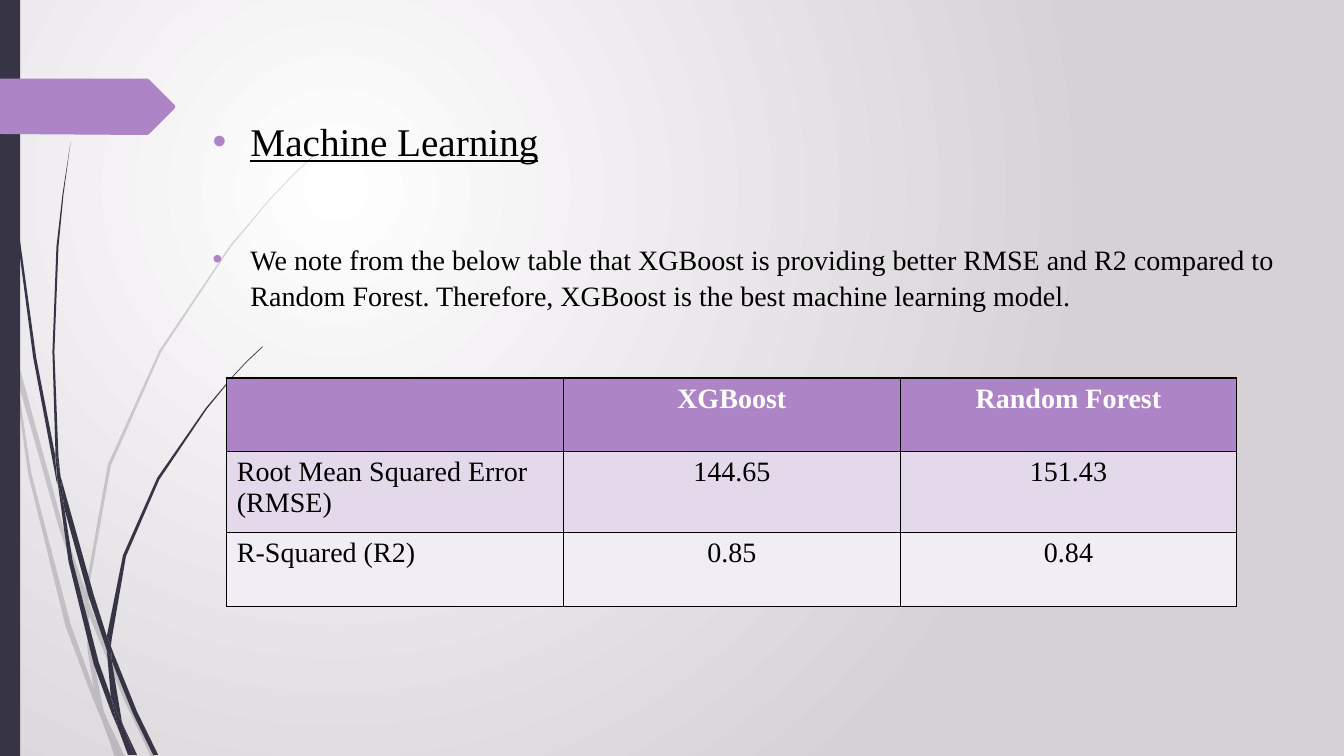
from lxml import etree
from pptx import Presentation
from pptx import util as u
from pptx.dml.color import RGBColor
from pptx.enum import shapes, text
from pptx.oxml.ns import qn

DARK, PURPLE, BLACK, WHITE = "373545", "AD84C6", "000000", "FFFFFF"
FONT = "Times New Roman"


def paint(sp, color):
    sp.shadow.inherit = False
    sp.fill.solid()
    sp.fill.fore_color.rgb = RGBColor.from_string(color)
    sp.line.fill.background()


def add_run(p, words, size, color, bold=False, underline=False):
    r = p.add_run()
    r.text = words
    f = r.font
    f.name, f.size, f.bold, f.underline = FONT, u.Pt(size), bold, underline
    f.color.rgb = RGBColor.from_string(color)


prs = Presentation()
prs.slide_width, prs.slide_height = u.Pt(960), u.Pt(540)
s = prs.slides.add_slide(prs.slide_layouts[1])
title, body = s.placeholders
title.element.getparent().remove(title.element)

# Background: circular gradient centred in the upper left
fill = s.background.fill
fill.gradient()
for stop, position, color in zip(fill.gradient_stops, (0, 1), (WHITE, "D6D1D6")):
    stop.position = position
    stop.color.rgb = RGBColor.from_string(color)
lin = next(s.element.iter(qn("a:lin")))
circle = etree.Element(qn("a:path"), path="circle")
etree.SubElement(circle, qn("a:fillToRect"), l="50000", t="50000", r="100000", b="100000")
lin.getparent().replace(lin, circle)

# Wisps of grass: outlines in steps of 0.72 pt
pale_wisps = [
    [(11, 350), (9, 322), (0, 282), (0, 299), (10, 344)],
    [(58, 522), (84, 599), (85, 586), (62, 520), (14, 345), (17, 376)],
    [(92, 607), (88, 596), (88, 610), (123, 694), (150, 751), (155, 751), (127, 692)],
    [(119, 751), (124, 751), (105, 711)],
    [(93, 683), (70, 619), (31, 469), (17, 376), (11, 350), (28, 470), (65, 621),
     (92, 693), (101, 714), (99, 707)],
    [(84, 599), (87, 646), (93, 683), (96, 692), (105, 711), (103, 706), (91, 646),
     (88, 610), (88, 608)],
    [(88, 584), (110, 462), (160, 349), (229, 245), (268, 198), (290, 175), (312, 154),
     (312, 153), (289, 175), (268, 197), (228, 244), (158, 348), (107, 461), (85, 584),
     (85, 586), (88, 596)],
    [(101, 714), (114, 751), (119, 751)],
    [(88, 608), (88, 610), (88, 596), (85, 586), (84, 599)],
    [(96, 692), (93, 683), (99, 707), (101, 714), (119, 751), (105, 711)],
]
dark_wisps = [
    [(7, 110), (17, 233), (33, 355), (56, 477), (57, 481), (55, 457), (55, 453),
     (36, 355), (19, 232), (8, 109), (5, 48), (4, 0), (3, 0), (4, 48)],
    [(88, 592), (106, 645), (106, 633), (106, 631), (93, 590), (60, 472), (64, 505)],
    [(113, 649), (110, 641), (111, 656), (132, 708), (152, 749), (157, 749), (136, 706)],
    [(110, 691), (98, 657), (72, 556), (64, 505), (57, 477), (68, 557), (93, 659),
     (111, 708), (117, 722), (116, 717)],
    [(60, 472), (58, 453), (54, 349), (58, 245), (63, 193), (70, 141), (62, 193),
     (56, 245), (52, 349), (55, 449)],
    [(133, 749), (136, 749), (122, 719)],
    [(57, 477), (64, 505), (60, 472), (55, 449), (55, 453)],
    [(111, 633), (125, 552), (158, 476), (205, 406), (231, 374), (245, 359), (261, 344),
     (260, 344), (245, 358), (231, 373), (204, 405), (156, 474), (122, 551), (106, 631),
     (110, 641)],
    [(117, 722), (127, 749), (131, 749)],
    [(106, 645), (110, 691), (116, 706), (122, 719), (121, 716), (111, 656), (109, 651)],
    [(106, 645), (109, 651), (111, 656), (110, 641), (106, 631), (106, 633)],
    [(116, 706), (110, 691), (116, 717), (117, 722), (130, 749), (133, 749), (122, 719)],
]
for wisps, alpha in ((pale_wisps, "20000"), (dark_wisps, "100000")):
    for outline in wisps:
        fb = s.shapes.build_freeform(*outline[0], scale=u.Pt(0.72))
        fb.add_line_segments(outline[1:])
        sp = fb.convert_to_shape()
        paint(sp, DARK)
        rgb = next(sp.element.spPr.iter(qn("a:srgbClr")))
        etree.SubElement(rgb, qn("a:alpha"), val=alpha)

# Side bar and arrow tab
bar = s.shapes.add_shape(shapes.MSO_SHAPE.RECTANGLE, 0, 0, u.Pt(14.4), u.Pt(540))
paint(bar, DARK)
fb = s.shapes.build_freeform(0, 78, scale=u.Pt(0.72))
fb.add_line_segments([(146, 78), (148, 79), (173, 104), (174, 106), (173, 108),
                      (148, 133), (146, 134), (0, 133)])
paint(fb.convert_to_shape(), PURPLE)

# Bulleted text, in front of the decoration
body.element.getparent().append(body.element)
body.left, body.top, body.width, body.height = (u.Pt(v) for v in (144.7, 77.8, 783.4, 441.4))
tf = body.text_frame
tf.word_wrap = True
tf.auto_size = text.MSO_AUTO_SIZE.NONE
bullets = [
    ("Machine Learning", 28, True, 10),
    ("We note from the below table that XGBoost is providing better RMSE and R2 compared to "
     "Random Forest. Therefore, XGBoost is the best machine learning model.", 20, False, 54),
]
for i, (words, size, underline, before) in enumerate(bullets):
    p = tf.paragraphs[0] if i == 0 else tf.add_paragraph()
    p.space_before, p.line_spacing = u.Pt(before), 1.07
    add_run(p, words, size, BLACK, underline=underline)
    bullet_color = etree.SubElement(p._p.get_or_add_pPr(), qn("a:buClr"))
    etree.SubElement(bullet_color, qn("a:srgbClr"), val=PURPLE)

# Table of model scores
rows = [
    ("", "XGBoost", "Random Forest"),
    ("Root Mean Squared Error (RMSE)", "144.65", "151.43"),
    ("R-Squared (R2)", "0.85", "0.84"),
]
row_fills = (PURPLE, "E3D9EA", "F1EDF5")
row_heights = (52.5, 58, 52.5)
table = s.shapes.add_table(3, 3, u.Pt(162), u.Pt(270), u.Pt(721.5), u.Pt(163)).table
for col in table.columns:
    col.width = u.Pt(240.5)
for i, row in enumerate(rows):
    table.rows[i].height = u.Pt(row_heights[i])
    for j, words in enumerate(row):
        cell = table.cell(i, j)
        tcPr = cell._tc.get_or_add_tcPr()
        for side in ("a:lnL", "a:lnR", "a:lnT", "a:lnB"):
            ln = etree.SubElement(tcPr, qn(side), w=str(u.Pt(1)))
            solid = etree.SubElement(ln, qn("a:solidFill"))
            etree.SubElement(solid, qn("a:srgbClr"), val=BLACK)
        cell.fill.solid()
        cell.fill.fore_color.rgb = RGBColor.from_string(row_fills[i])
        if words:
            p = cell.text_frame.paragraphs[0]
            p.alignment = text.PP_ALIGN.CENTER if j else text.PP_ALIGN.LEFT
            add_run(p, words, 20, BLACK if i else WHITE, bold=i == 0)

prs.save("out.pptx")
